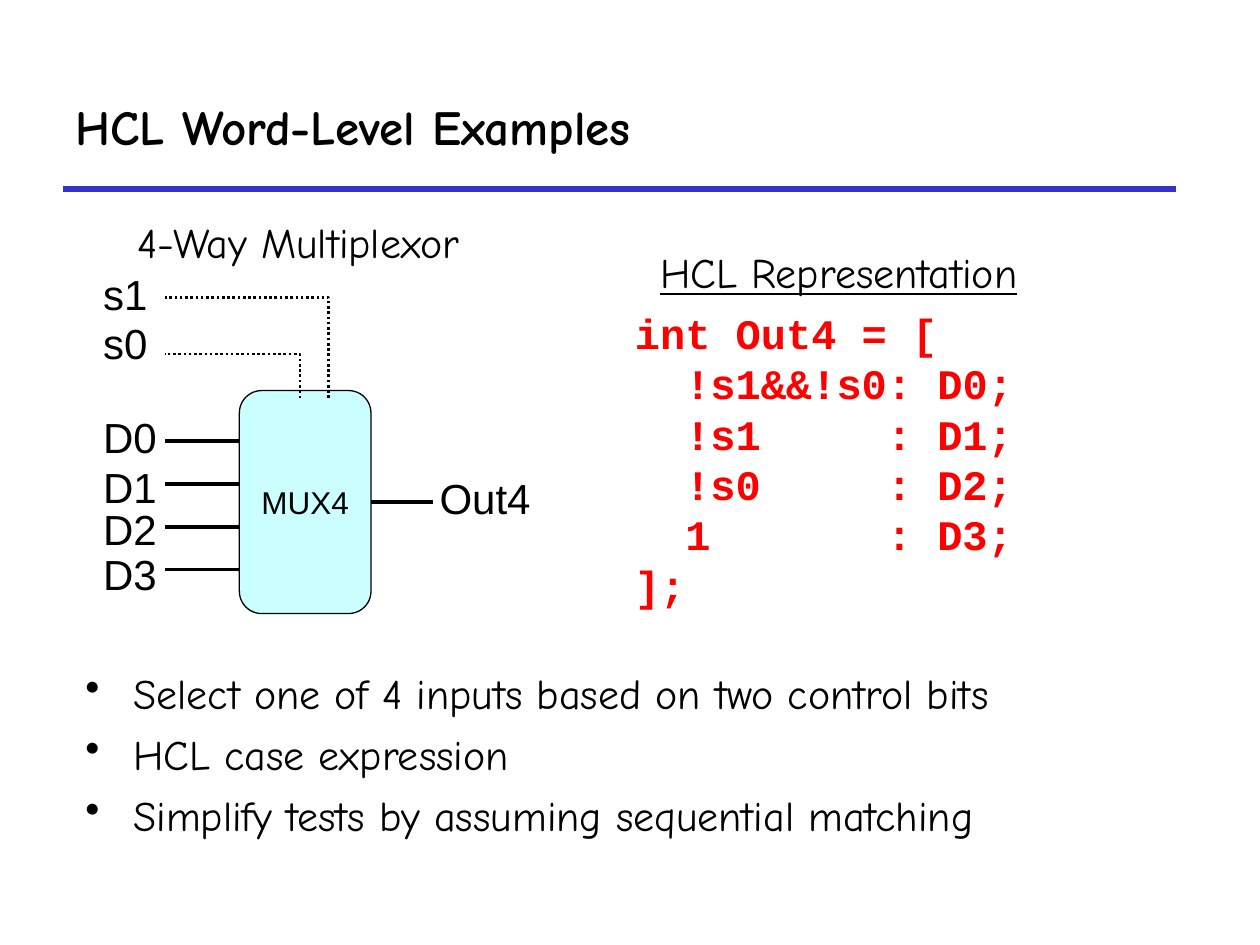
from lxml import etree
from pptx import Presentation
from pptx.dml.color import RGBColor
from pptx.enum.dml import MSO_LINE
from pptx.enum.shapes import MSO_CONNECTOR, MSO_SHAPE
from pptx.enum.text import MSO_ANCHOR, PP_ALIGN
from pptx.oxml.ns import qn
from pptx.util import Inches, Pt

STRAIGHT = MSO_CONNECTOR.STRAIGHT
ROUNDED = MSO_SHAPE.ROUNDED_RECTANGLE
MIDDLE, TOP = MSO_ANCHOR.MIDDLE, MSO_ANCHOR.TOP
LEFT, CENTER = PP_ALIGN.LEFT, PP_ALIGN.CENTER
DOTTED = MSO_LINE.ROUND_DOT
RIGHT_SIDE = 3

COLORS = {"ink": "000000", "rule": "3333CC", "mux": "CCFFFF", "code": "FF0000"}
HAND, SANS, MONO = "Comic Neue", "Arial", "Courier New"

deck = Presentation()
deck.slide_width, deck.slide_height = Inches(10), Inches(7.5)
page = deck.slides.add_slide(deck.slide_layouts[6])
column = deck.slide_width / 100
row = deck.slide_height / 75


def write(box, lines, font, color="ink", anchor=TOP, align=LEFT, before=0, wrap=False, inset=1):
    frame = box.text_frame
    frame.word_wrap = wrap
    frame.vertical_anchor = anchor
    frame.margin_left = frame.margin_right = int(inset * column)
    frame.margin_top = frame.margin_bottom = int(0.5 * row)
    for index, line in enumerate(lines):
        para = frame.add_paragraph() if index else frame.paragraphs[0]
        para.alignment = align
        para.space_before = Pt(before)
        span = para.add_run()
        span.text = line
        span.font.color.rgb = RGBColor.from_string(COLORS[color])
        for name, value in font.items():
            setattr(span.font, name, value)
    return frame.paragraphs


def draw_line(x1, y1, x2, y2, color, weight):
    line = page.shapes.add_connector(
        STRAIGHT, int(x1 * column), int(y1 * row), int(x2 * column), int(y2 * row))
    line.line.color.rgb = RGBColor.from_string(COLORS[color])
    line.line.width = Pt(weight)
    etree.SubElement(line._element.spPr, qn("a:effectLst"))
    return line


draw_line(5, 15, 93.3, 15, "rule", 3)

mux_left, mux_top, mux_width, mux_height = 19, 31, 10.45, 17.7
mux = page.shapes.add_shape(ROUNDED, int(mux_left * column), int(mux_top * row),
                            int(mux_width * column), int(mux_height * row))
mux.adjustments[0] = 0.17
mux.shadow.inherit = False
mux.fill.solid()
mux.fill.fore_color.rgb = RGBColor.from_string(COLORS["mux"])
mux.line.color.rgb = RGBColor.from_string(COLORS["ink"])
mux.line.width = Pt(0.75)
write(mux, ["MUX4"], {"name": SANS, "size": Pt(18)}, anchor=MIDDLE, align=CENTER, before=4.5)

wire_left = 13.1
for index in range(4):
    wire_y = 35 + 3.4 * index
    draw_line(wire_left, wire_y, mux_left, wire_y, "ink", 2.25)

output_y = mux_top + mux_height / 2
output = draw_line(mux_left + mux_width, output_y, 34.4, output_y, "ink", 2.25)
output.begin_connect(mux, RIGHT_SIDE)

for turn_x, wire_y in ((23.8, 28.1), (26.1, 23.6)):
    outline = page.shapes.build_freeform(int(turn_x * column), int(31.6 * row))
    outline.add_line_segments(
        [(int(turn_x * column), int(wire_y * row)), (int(wire_left * column), int(wire_y * row))],
        close=False)
    control = outline.convert_to_shape()
    control.shadow.inherit = False
    control.fill.background()
    control.line.color.rgb = RGBColor.from_string(COLORS["ink"])
    control.line.width = Pt(1.5)
    control.line.dash_style = DOTTED

label_font = {"name": SANS, "size": Pt(24)}
hand_font = {"name": HAND, "size": Pt(24)}
title_font = {"name": HAND, "size": Pt(28), "bold": True}
heading_font = {**hand_font, "underline": True}
code_font = {"name": MONO, "size": Pt(24), "bold": True}
code_lines = ["int Out4 = [", "\t!s1&&!s0: D0;", "\t!s1\t: D1;", "\t!s0\t: D2;", "\t1\t: D3;", "];"]
bullet_lines = ["Select one of 4 inputs based on two control bits", "HCL case expression",
                "Simplify tests by assuming sequential matching"]

texts = [
    (5, 5, 88.3, 10, ["HCL Word-Level Examples"], title_font, {"anchor": MIDDLE, "wrap": True}),
    (10.4, 16.7, 27, 5.1, ["4-Way Multiplexor"], hand_font, {"before": 6, "inset": 0.5}),
    (51.9, 19.1, 29.6, 5.1, ["HCL Representation"], heading_font, {"before": 6, "inset": 0.5}),
    (33.9, 37, 9.3, 5.1, ["Out4"], label_font, {"before": 6}),
    (49.4, 23.9, 32.1, 25.1, code_lines, code_font, {"color": "code", "wrap": True}),
    (5.8, 52.5, 85.8, 15.8, bullet_lines, hand_font, {"before": 6, "wrap": True}),
]
for name, top, width in (("s1", 20.8, 5.6), ("s0", 24.7, 5.6), ("D0", 32.2, 6.4),
                         ("D1", 36.1, 6.4), ("D2", 39.5, 6.4), ("D3", 43, 6.4)):
    texts.append((7.2, top, width, 5.1, [name], label_font, {"before": 6}))

for left, top, width, height, lines, font, options in texts:
    box = page.shapes.add_textbox(int(left * column), int(top * row),
                                  int(width * column), int(height * row))
    for para in write(box, lines, font, **options):
        properties = para._p.get_or_add_pPr()
        if lines is bullet_lines:
            properties.set("marL", str(int(3.8 * column)))
            properties.set("indent", str(int(-3.8 * column)))
            etree.SubElement(properties, qn("a:buChar"), char="•")
        if lines is code_lines:
            stops = etree.SubElement(properties, qn("a:tabLst"))
            for stop in (4, 20):
                etree.SubElement(stops, qn("a:tab"), pos=str(int(stop * column)), algn="l")

deck.save("out.pptx")
